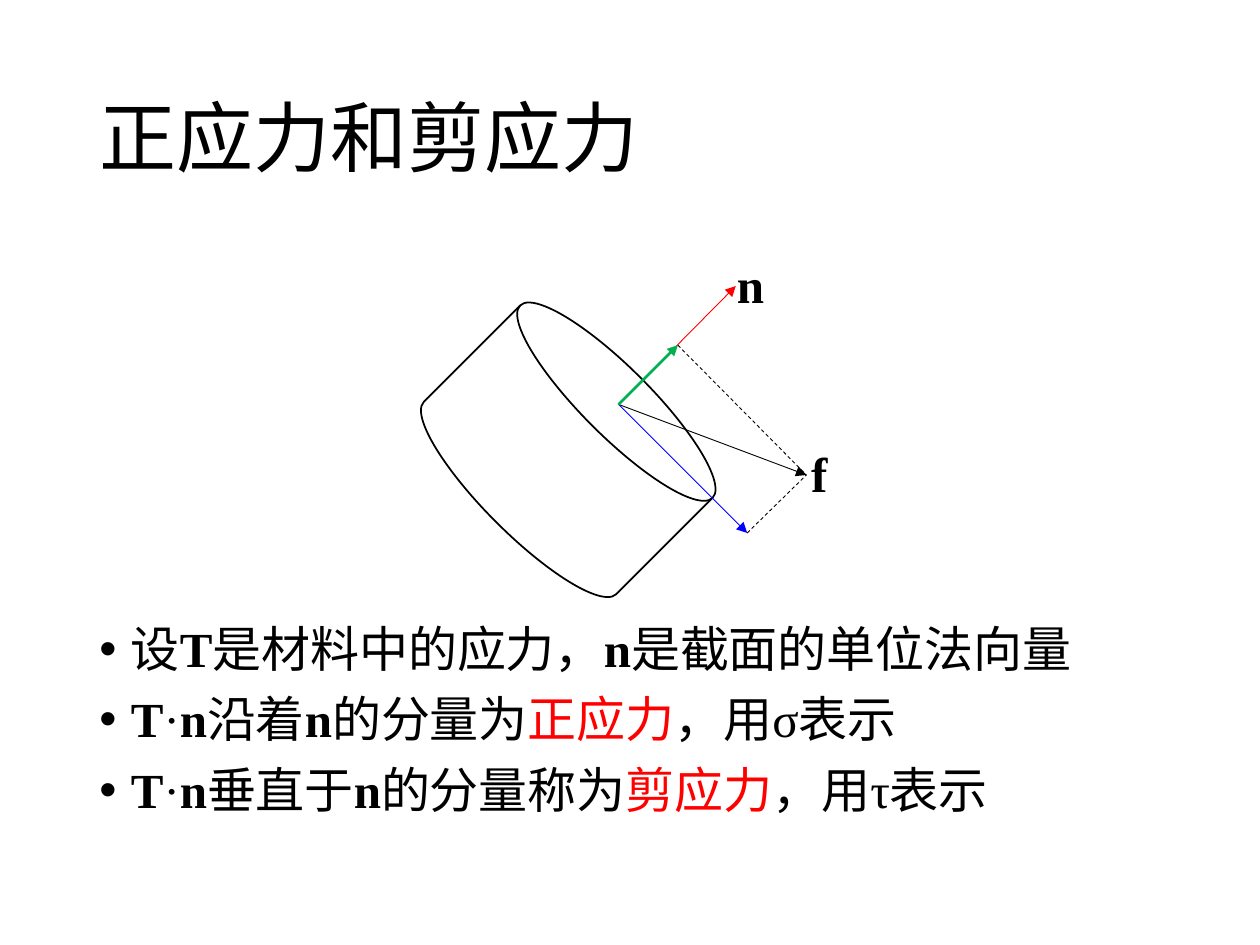
from pptx import Presentation
from pptx.dml.color import RGBColor
from pptx.enum.dml import MSO_LINE
from pptx.enum.shapes import MSO_CONNECTOR, MSO_SHAPE
from pptx.enum.text import MSO_ANCHOR, MSO_AUTO_SIZE
from pptx.oxml.ns import qn
from pptx.util import Inches, Pt
from lxml.etree import SubElement

BLACK = RGBColor(0x00, 0x00, 0x00)
WHITE = RGBColor(0xFF, 0xFF, 0xFF)
RED = RGBColor(0xFF, 0x00, 0x00)
GREEN = RGBColor(0x00, 0xB0, 0x50)
BLUE = RGBColor(0x00, 0x00, 0xFF)
CJK_FONT = "Noto Sans CJK SC"
LATIN_FONT = "Times New Roman"

# Run styles: (bold, colour)
PLAIN = (False, BLACK)
BOLD = (True, BLACK)
TERM = (False, RED)

STRESS_VECTOR = [("T", BOLD), ("·", PLAIN), ("n", BOLD)]
BULLETS = [
    [("设", PLAIN), ("T", BOLD), ("是材料中的应力，", PLAIN),
     ("n", BOLD), ("是截面的单位法向量", PLAIN)],
    STRESS_VECTOR + [("沿着", PLAIN), ("n", BOLD), ("的分量为", PLAIN),
                     ("正应力", TERM), ("，用σ表示", PLAIN)],
    STRESS_VECTOR + [("垂直于", PLAIN), ("n", BOLD), ("的分量称为", PLAIN),
                     ("剪应力", TERM), ("，用τ表示", PLAIN)],
]

CENTRE = (4.91, 3.21)
NORMAL_TIP = (5.84, 2.27)
NORMAL_PART = (5.38, 2.74)
SHEAR_PART = (5.93, 4.23)
FORCE_TIP = (6.4, 3.77)


def add_run(p, text, size, style=PLAIN, font=LATIN_FONT):
    r = p.add_run()
    r.text = text
    r.font.name = font
    r.font.size = Pt(size)
    r.font.bold, r.font.color.rgb = style
    SubElement(r.font._element, qn("a:ea"), typeface=CJK_FONT)


def add_box(s, left, top, width, height, wrap=True):
    box = s.shapes.add_textbox(Inches(left), Inches(top), Inches(width), Inches(height))
    tf = box.text_frame
    tf.word_wrap = wrap
    return tf


def add_title(s, text):
    tf = add_box(s, 0.69, 0.4, 8.62, 1.45)
    tf.vertical_anchor = MSO_ANCHOR.MIDDLE
    p = tf.paragraphs[0]
    p.line_spacing = 0.9
    add_run(p, text, 44, font=CJK_FONT)


def add_bullets(s, items):
    tf = add_box(s, 0.69, 4.91, 8.62, 1.84)
    for i, runs in enumerate(items):
        p = tf.add_paragraph() if i else tf.paragraphs[0]
        pPr = p._p.get_or_add_pPr()
        pPr.set("marL", str(Inches(0.25)))
        pPr.set("indent", str(-Inches(0.25)))
        SubElement(pPr, qn("a:buFont"), typeface="Arial")
        SubElement(pPr, qn("a:buChar"), char="•")
        p.line_spacing = 0.9
        if i:
            p.space_before = Pt(10)
        for text, style in runs:
            add_run(p, text, 28, style)


def add_label(s, text, left, top, width, wrap):
    tf = add_box(s, left, top, width, 0.57, wrap)
    tf.auto_size = MSO_AUTO_SIZE.SHAPE_TO_FIT_TEXT
    add_run(tf.paragraphs[0], text, 28, BOLD)


def add_drum(s):
    sp = s.shapes.add_shape(MSO_SHAPE.FLOWCHART_DIRECT_ACCESS_STORAGE,
                            Inches(3.7), Inches(2.49), Inches(1.62), Inches(2.16))
    sp.rotation = 315
    sp.shadow.inherit = False
    sp.fill.solid()
    sp.fill.fore_color.rgb = WHITE
    sp.line.color.rgb = BLACK
    sp.line.width = Pt(1)


def add_line(s, start, end, color=BLACK, width=0.5):
    line = s.shapes.add_connector(MSO_CONNECTOR.STRAIGHT,
                                  *(Inches(v) for v in start + end))
    line.line.color.rgb = color
    line.line.width = Pt(width)
    SubElement(line._element.spPr, qn("a:effectLst"))
    return line


def add_arrow(s, start, end, color=BLACK, width=0.5):
    line = add_line(s, start, end, color, width)
    SubElement(line.line._get_or_add_ln(), qn("a:tailEnd"), type="triangle")


def add_dashed_line(s, start, end):
    add_line(s, start, end).line.dash_style = MSO_LINE.DASH


def main():
    prs = Presentation()
    prs.slide_width, prs.slide_height = Inches(10), Inches(7.5)
    s = prs.slides.add_slide(prs.slide_layouts[6])

    add_title(s, "正应力和剪应力")
    add_bullets(s, BULLETS)
    add_drum(s)
    add_arrow(s, CENTRE, FORCE_TIP)
    add_label(s, "n", 5.75, 1.97, 0.42, wrap=False)
    add_label(s, "f", 6.34, 3.47, 0.34, wrap=True)
    add_arrow(s, CENTRE, SHEAR_PART, BLUE)
    add_arrow(s, CENTRE, NORMAL_TIP, RED)
    add_arrow(s, CENTRE, NORMAL_PART, GREEN, 1.5)
    add_dashed_line(s, NORMAL_PART, FORCE_TIP)
    add_dashed_line(s, SHEAR_PART, FORCE_TIP)

    prs.save("out.pptx")


if __name__ == "__main__":
    main()
